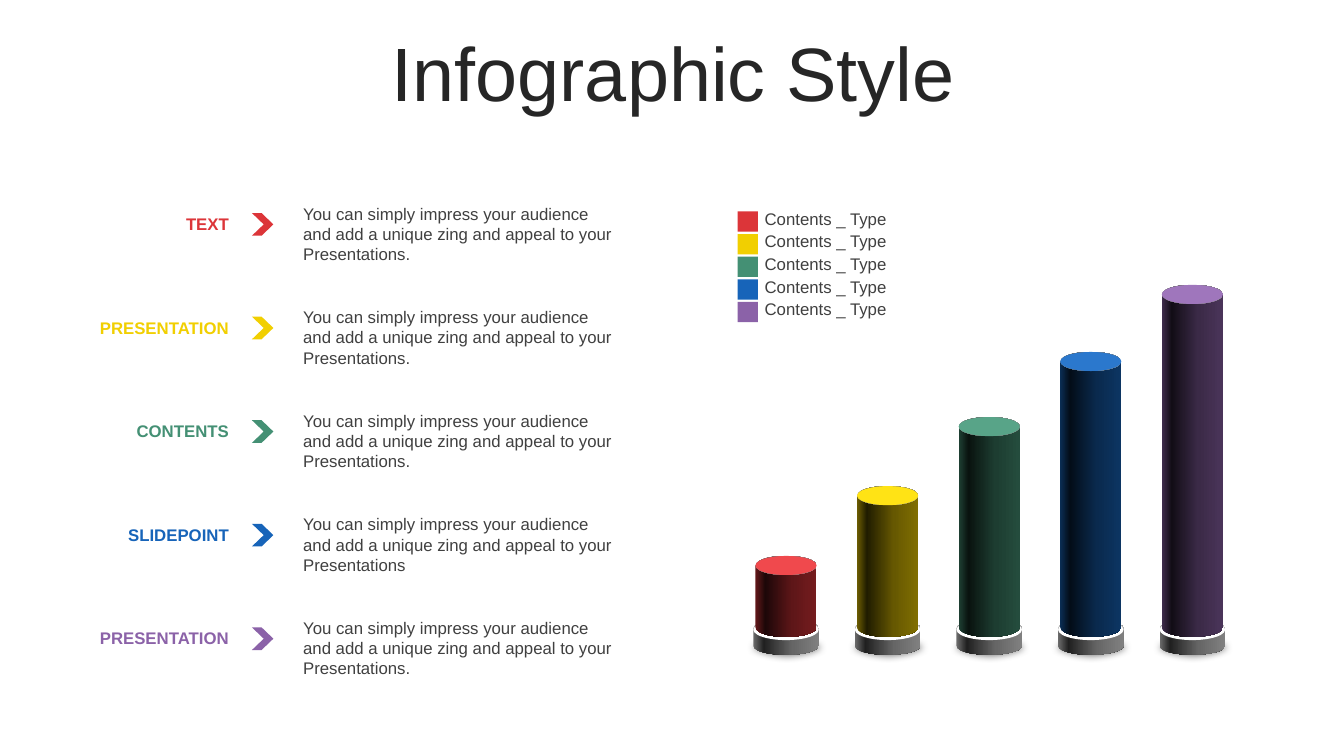
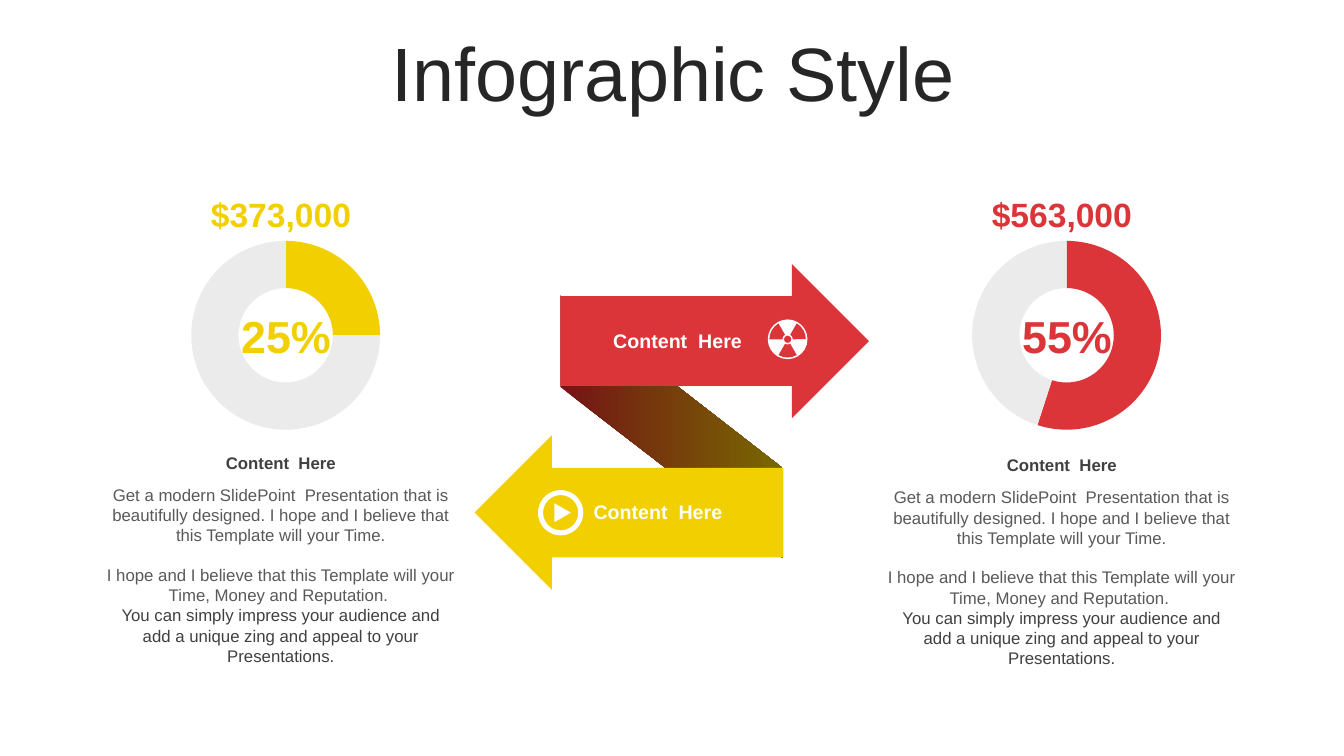
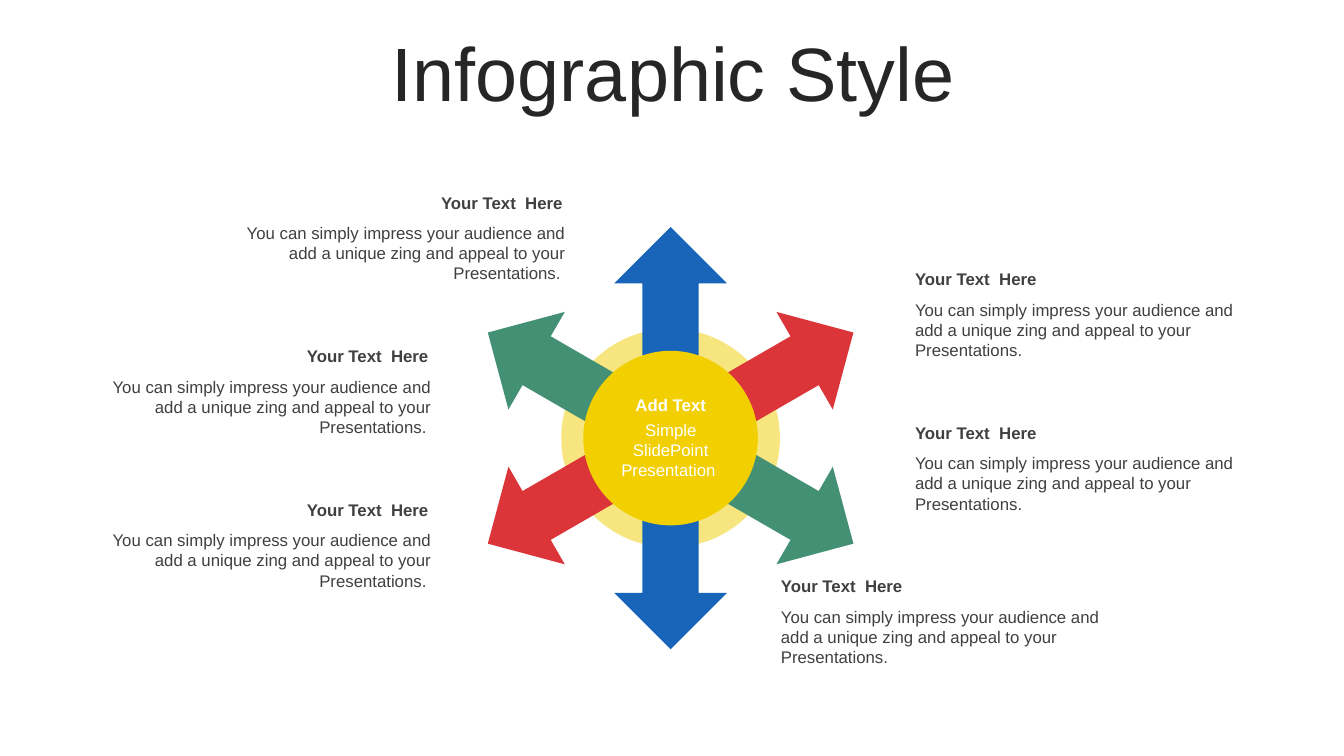
from pptx import Presentation
from pptx.chart.data import CategoryChartData
from pptx.dml.color import RGBColor
from pptx.enum.chart import XL_CHART_TYPE as CHART
from pptx.enum.shapes import MSO_SHAPE as SHAPE
from pptx.enum.text import MSO_ANCHOR as ANCHOR, MSO_AUTO_SIZE as AUTO, PP_ALIGN as ALIGN
from pptx.oxml import parse_xml
from pptx.oxml.ns import nsdecls, qn
from pptx.util import Cm, Pt
from lxml import etree

FONT = "Arial"
C = {
    "red": "DC3539", "yellow": "F1CF01", "green": "449074", "blue": "1764B9",
    "purple": "8B62A8", "title": "262626", "text": "404040", "soft": "595959",
    "grey": "808080", "ring": "EBEBEB", "white": "FFFFFF",
    "dark red": "741416", "dark yellow": "786800",
}
HUES = ["red", "yellow", "green", "blue", "purple"]
IMPRESS = ("You can simply impress your audience and add a unique zing "
           "and appeal to your Presentations")


def tint(color, factor=1.0, add=0):
    """Scale each channel of a hex colour, then add to it."""
    channels = (int(color[i:i + 2], 16) for i in (0, 2, 4))
    return "".join(f"{min(255, round(c * factor) + add):02X}" for c in channels)


class Deck:
    def __init__(self):
        self.prs = Presentation()
        self.prs.slide_width, self.prs.slide_height = Cm(33.87), Cm(19.05)
        self.slide = None

    def new_slide(self, title):
        self.slide = self.prs.slides.add_slide(self.prs.slide_layouts[5])
        sp = self.slide.shapes.title
        sp.left, sp.top, sp.width, sp.height = Cm(0.89), Cm(0.94), Cm(32.16), Cm(2)
        tf = sp.text_frame
        tf.auto_size, tf.vertical_anchor = AUTO.NONE, ANCHOR.MIDDLE
        p = tf.paragraphs[0]
        p.line_spacing, p.space_before = 0.9, Pt(10)
        self.styled_run(p, title, "title", 54, align=ALIGN.CENTER)

    def styled_run(self, p, text, color="text", size=12, bold=False, align=ALIGN.LEFT):
        p.alignment = align
        r = p.add_run()
        r.text = text
        r.font.name, r.font.size, r.font.bold = FONT, Pt(size), bold
        r.font.color.rgb = RGBColor.from_string(C[color])

    def text(self, x, y, w, h, text, anchor=ANCHOR.TOP, inset=0.25, **style):
        """Add a wrapping text box; inset is its left margin."""
        tf = self.slide.shapes.add_textbox(Cm(x), Cm(y), Cm(w), Cm(h)).text_frame
        tf.word_wrap, tf.vertical_anchor, tf.margin_left = True, anchor, Cm(inset)
        self.styled_run(tf.paragraphs[0], text, **style)
        return tf

    def paint(self, sp, color):
        sp.shadow.inherit = False
        sp.line.fill.background()
        sp.fill.solid()
        sp.fill.fore_color.rgb = RGBColor.from_string(C.get(color, color))
        return sp

    def shape(self, kind, x, y, w, h, color, adj=(), rotation=0):
        sp = self.slide.shapes.add_shape(kind, Cm(x), Cm(y), Cm(w), Cm(h))
        for i, value in enumerate(adj):
            sp.adjustments[i] = value
        sp.rotation = rotation
        return self.paint(sp, color)

    def oval(self, cx, cy, w, color, h=None):
        """Add an ellipse around its centre, a circle unless h is given."""
        h = h or w
        return self.shape(SHAPE.OVAL, cx - w / 2, cy - h / 2, w, h, color)

    def polygon(self, points, color):
        points = [(Cm(x), Cm(y)) for x, y in points]
        builder = self.slide.shapes.build_freeform(*points[0], scale=1.0)
        builder.add_line_segments(points[1:], close=True)
        return self.paint(builder.convert_to_shape(), color)

    def gradient(self, sp, stops):
        """Fill a shape from left to right with (percent, hex) stops."""
        marks = "".join(f'<a:gs pos="{pos * 1000}"><a:srgbClr val="{color}"/></a:gs>'
                        for pos, color in stops)
        spPr = sp.element.spPr
        old = spPr.find(qn("a:solidFill"))
        spPr.replace(old, parse_xml(
            f'<a:gradFill {nsdecls("a")} rotWithShape="1"><a:gsLst>{marks}</a:gsLst>'
            '<a:lin ang="0" scaled="0"/></a:gradFill>'))

    def opacity(self, sp, percent):
        color = sp.element.spPr.find(qn("a:solidFill"))[0]
        etree.SubElement(color, qn("a:alpha"), val=str(percent * 1000))

    def soft_edge(self, sp, radius):
        effects = sp.element.spPr.find(qn("a:effectLst"))
        etree.SubElement(effects, qn("a:softEdge"), rad=str(int(Cm(radius))))

    def cylinder(self, cx, top, bottom, w, cap, color):
        """Add an upright cylinder shaded around the given dark colour."""
        h = bottom - top
        adj = min(0.5, cap / min(w, h))
        sp = self.shape(SHAPE.CAN, cx - w / 2, top, w, h, color, [adj])
        self.gradient(sp, [(0, tint(color, 0.85)), (16, tint(color, 0.25)),
                           (60, tint(color, 0.8)), (100, color)])

    def column(self, cx, top, color):
        """Add a coloured column standing on a grey foot."""
        self.soft_edge(self.oval(cx + 0.02, 16.32, 2.36, "grey", 0.79), 0.18)
        self.cylinder(cx, 15.61, 16.5, 1.65, 0.52, C["grey"])
        self.oval(cx, 15.87, 1.65, "white", 0.52)
        self.cylinder(cx, top, 16.05, 1.54, 0.48, tint(C[color], 0.53))
        self.oval(cx, top + 0.24, 1.54, tint(C[color], add=20), 0.48)

    def doughnut(self, x, y, share, color):
        data = CategoryChartData()
        data.categories = ["1", "2"]
        data.add_series("Series 1", [share, 100 - share])
        chart = self.slide.shapes.add_chart(
            CHART.DOUGHNUT, Cm(x), Cm(y), Cm(5.56), Cm(5.46), data).chart
        chart.has_legend = chart.has_title = False
        chart.font.name, chart.font.size = FONT, Pt(18)
        plot = chart.plots[0]
        plot.vary_by_categories = False
        for hole in plot._element.iter(qn("c:holeSize")):
            hole.set("val", "80")
        for i, name in enumerate((color, "ring")):
            fmt = plot.series[0].points[i].format
            fmt.fill.solid()
            fmt.fill.fore_color.rgb = RGBColor.from_string(C[name])
            fmt.line.fill.background()


def columns_slide(deck):
    deck.new_slide("Infographic Style")
    for i, top in enumerate((14.01, 12.25, 10.51, 8.87, 7.18)):
        deck.column(19.81 + 2.56 * i, top, HUES[i])
    for i, color in enumerate(HUES):
        y = 5.33 + 0.57 * i
        deck.shape(SHAPE.RECTANGLE, 18.59, y, 0.51, 0.51, color)
        deck.text(19.02, y - 0.2, 3.63, 0.76, "Contents _ Type", ANCHOR.MIDDLE)
    labels = ["TEXT", "PRESENTATION", "CONTENTS", "SLIDEPOINT", "PRESENTATION"]
    for i, (label, color) in enumerate(zip(labels, HUES)):
        y = 5 + 2.61 * i
        deck.text(1.8, y + 0.26, 4.22, 0.78, label, color=color, bold=True,
                  align=ALIGN.RIGHT)
        deck.shape(SHAPE.CHEVRON, 6.35, y + 0.37, 0.54, 0.57, color, [0.55])
        deck.text(7.39, y, 8.36, 1.8, IMPRESS + ("" if i == 3 else "."))


def amount_panel(deck, x, y, amount, share, color):
    """Add a doughnut with its amount above and its story, at y, below."""
    centred = {"align": ALIGN.CENTER}
    deck.text(x + 1.12, 4.75, 6.83, 1.27, amount, ANCHOR.MIDDLE, 0,
              color=color, size=24, bold=True, **centred)
    deck.doughnut(x + 1.75, 5.72, share, color)
    deck.text(x + 2.95, 7.65, 3.18, 1.63, f"{share}%", ANCHOR.MIDDLE,
              color=color, size=32, bold=True, **centred)
    deck.text(x, y, 9.07, 0.76, "Content  Here", ANCHOR.MIDDLE, 0, bold=True, **centred)
    tf = deck.text(x, y + 0.81, 9.07, 4.37, "Get a modern SlidePoint  Presentation that is "
                   "beautifully designed. I hope and I believe that this Template "
                   "will your Time.", inset=0, color="soft", **centred)
    p = tf.add_paragraph()
    p.space_before = Pt(14)
    deck.styled_run(p, "I hope and I believe that this Template will your Time, "
                    "Money and Reputation. ", "soft", **centred)
    deck.styled_run(tf.add_paragraph(), IMPRESS + ".", **centred)


def radiation_icon(deck, cx, cy):
    deck.oval(cx, cy, 1, "white")
    for start in (60, 180, 300):
        deck.shape(SHAPE.PIE, cx - 0.46, cy - 0.46, 0.92, 0.92, "red",
                   [0.6 * start, 0.6 * ((start + 60) % 360)])
    deck.oval(cx, cy, 0.26, "white")
    deck.oval(cx, cy, 0.18, "red")


def play_icon(deck, cx, cy):
    deck.shape(SHAPE.DONUT, cx - 0.57, cy - 0.57, 1.14, 1.14, "white", [0.11])
    deck.polygon([(cx - 0.16, cy - 0.24), (cx + 0.26, cy), (cx - 0.16, cy + 0.24)], "white")


def arrows_slide(deck):
    deck.new_slide("Infographic Style")
    ribbon = deck.polygon([(14.12, 7.44), (19.74, 11.81), (19.74, 14.07), (14.12, 9.75)],
                          "dark red")
    deck.gradient(ribbon, [(0, C["dark red"]), (100, C["dark yellow"])])
    arrows = [(14.12, 6.65, "red", 0, 14.58, 8.15, ALIGN.RIGHT),
              (11.96, 10.97, "yellow", 180, 14.96, 12.47, ALIGN.LEFT)]
    for x, y, color, rotation, text_x, text_y, align in arrows:
        deck.shape(SHAPE.RIGHT_ARROW, x, y, 7.78, 3.89, color, [0.58, 0.5], rotation)
        deck.text(text_x, text_y, 4.37, 0.86, "Content  Here", ANCHOR.MIDDLE, 0,
                  color="white", size=14, bold=True, align=align)
    radiation_icon(deck, 19.85, 8.55)
    play_icon(deck, 14.13, 12.92)
    amount_panel(deck, 2.67, 11.28, "$373,000", 25, "yellow")
    amount_panel(deck, 22.35, 11.34, "$563,000", 55, "red")


def hub_slide(deck):
    deck.new_slide("Infographic Style")
    cx, cy = 16.9, 11.04
    deck.opacity(deck.oval(cx, cy, 5.51, "yellow"), 50)
    for i, color in enumerate(("blue", "red", "green")):
        deck.shape(SHAPE.UP_DOWN_ARROW, cx - 1.42, cy - 5.32, 2.84, 10.64, color,
                   [0.5, 0.5], 60 * i)
    deck.oval(cx, cy, 4.4, "yellow")
    hub = {"color": "white", "align": ALIGN.CENTER}
    deck.text(15.37, 9.83, 3.07, 0.76, "Add Text", bold=True, **hub)
    deck.text(15.37, 10.44, 3.07, 1.8, "Simple SlidePoint Presentation ", **hub)
    sides = [((5.41, 2.03, 2.03), 4.72, ALIGN.RIGHT, ". "),
             ((22.81, 22.81, 19.43), 6.65, ALIGN.LEFT, ".")]
    for lefts, top, align, ending in sides:
        for i, x in enumerate(lefts):
            y = top + 3.87 * i
            deck.text(x, y, 9.02, 0.76, "Your Text  Here", bold=True, align=align)
            deck.text(x, y + 0.77, 9.09, 1.8, IMPRESS + ending, align=align)


def main():
    deck = Deck()
    columns_slide(deck)
    arrows_slide(deck)
    hub_slide(deck)
    deck.prs.save("out.pptx")


if __name__ == "__main__":
    main()
